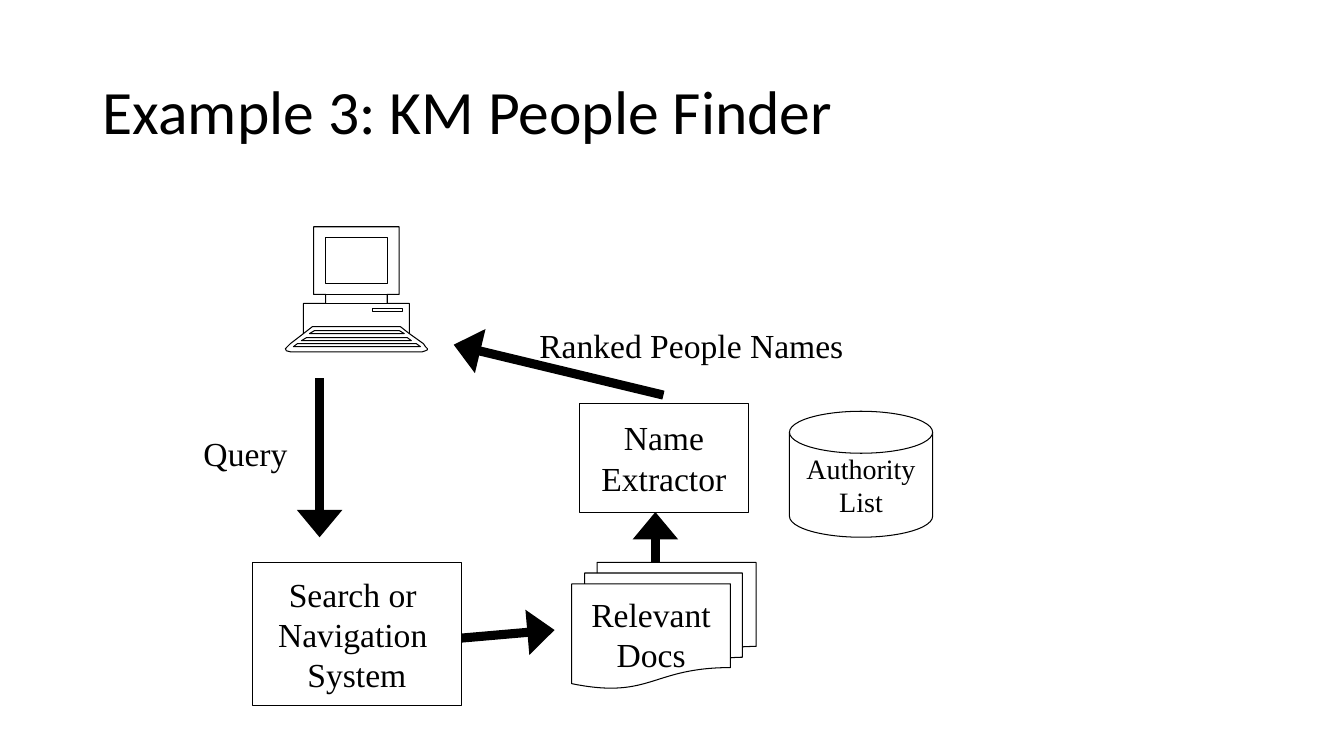
"""Build the KM People Finder slide: a workstation, its search flow and labels."""
from lxml import etree
from pptx import Presentation
from pptx.dml.color import RGBColor
from pptx.enum.shapes import MSO_CONNECTOR, MSO_SHAPE
from pptx.enum.text import MSO_ANCHOR, MSO_AUTO_SIZE, PP_ALIGN
from pptx.oxml.ns import qn
from pptx.util import Inches, Pt

RECT = MSO_SHAPE.RECTANGLE
DOCS = MSO_SHAPE.FLOWCHART_MULTIDOCUMENT
DISK = MSO_SHAPE.FLOWCHART_MAGNETIC_DISK
STRAIGHT = MSO_CONNECTOR.STRAIGHT
LEFT, CENTER = PP_ALIGN.LEFT, PP_ALIGN.CENTER
TOP, MIDDLE = MSO_ANCHOR.TOP, MSO_ANCHOR.MIDDLE
FIT = MSO_AUTO_SIZE.SHAPE_TO_FIT_TEXT
SERIF, SANS, BLACK = "Times New Roman", "Calibri", "000000"

TITLE = ("Example 3: KM People Finder", (0.92, 0.41, 11.5, 1.45))
NODES = [
    (DOCS, (5.67, 5.58, 1.83, 1.25), 24, ["Relevant", "Docs"]),
    (RECT, (2.5, 5.58, 2.08, 1.42), 24, ["Search or ", "Navigation ", "System"]),
    (RECT, (5.75, 4, 1.67, 1.08), 24, ["Name", "Extractor"]),
    (DISK, (7.83, 4.08, 1.42, 1.25), 20, ["Authority", "List"]),
]
ARROWS = [
    ((3.17, 3.75), (3.17, 5.33)),
    ((4.58, 6.33), (5.5, 6.25)),
    ((6.5, 5.58), (6.5, 5.08)),
    ((6.58, 3.92), (4.5, 3.42)),
]
LABELS = [
    ("Query", (1.92, 4.25, 1.03, 0.5)),
    ("Ranked People Names", (5.25, 3.17, 3.22, 0.5)),
]

# Workstation geometry in hundredths of an inch
OUTLINE = [
    (420, 341), (406, 331), (406, 301), (384, 301), (384, 292), (396, 292),
    (396, 225), (311, 225), (311, 292), (323, 292), (323, 301), (301, 301),
    (301, 331), (288, 341), (285, 344), (283, 346), (284, 348), (288, 349),
    (419, 349), (422, 348), (424, 347), (424, 346), (422, 344),
]
KEYBOARD_EDGE = [(406, 331), (397, 324), (310, 324), (301, 331)]
KEY_ROWS = [
    [(401, 331), (396, 328), (312, 328), (307, 331)],
    [(408, 338), (404, 335), (304, 335), (299, 338)],
    [(417, 344), (413, 341), (295, 341), (291, 344)],
]
PANELS = [(369, 306, 399, 309), (323, 236, 384, 281), (323, 292, 384, 301)]


def rgb(color):
    return RGBColor.from_string(color)


def box(at):
    return [Inches(v) for v in at]


def outline(sp):
    sp.shadow.inherit = False
    sp.fill.background()
    sp.line.color.rgb = rgb(BLACK)
    sp.line.width = Pt(0.75)


def write(sp, lines, size, font=SERIF, align=LEFT, anchor=TOP, wrap=False):
    tf = sp.text_frame
    tf.word_wrap = wrap
    tf.vertical_anchor = anchor
    for i, text in enumerate(lines):
        p = tf.paragraphs[0] if i == 0 else tf.add_paragraph()
        p.alignment = align
        r = p.add_run()
        r.text = text
        r.font.size = Pt(size)
        r.font.name = font
        r.font.color.rgb = rgb(BLACK)
    return tf


def add_workstation(s):
    panels = [[(x1, y1), (x1, y2), (x2, y2), (x2, y1)] for x1, y1, x2, y2 in PANELS]
    fb = s.shapes.build_freeform(*OUTLINE[0], scale=Inches(0.01))
    fb.add_line_segments(OUTLINE[1:], close=True)
    for points in KEY_ROWS + panels + [KEYBOARD_EDGE]:
        fb.move_to(*points[0])
        fb.add_line_segments(points[1:], close=points is not KEYBOARD_EDGE)
    outline(fb.convert_to_shape())


def add_arrow(s, start, end):
    cx = s.shapes.add_connector(STRAIGHT, *box(start + end))
    cx.line.color.rgb = rgb(BLACK)
    cx.line.width = Pt(6.5)
    sp_pr = cx._element.spPr
    etree.SubElement(sp_pr.find(qn("a:ln")), qn("a:tailEnd"), type="triangle", w="lg", len="med")
    etree.SubElement(sp_pr, qn("a:effectLst"))


def main():
    prs = Presentation()
    prs.slide_width, prs.slide_height = Inches(13.33), Inches(7.5)
    s = prs.slides.add_slide(prs.slide_layouts[6])

    title, at = TITLE
    tf = write(s.shapes.add_textbox(*box(at)), [title], 44, SANS, anchor=MIDDLE, wrap=True)
    tf.paragraphs[0].line_spacing = 0.9

    for kind, at, size, lines in NODES:
        sp = s.shapes.add_shape(kind, *box(at))
        outline(sp)
        write(sp, lines, size, align=CENTER, anchor=MIDDLE)

    add_workstation(s)
    for start, end in ARROWS:
        add_arrow(s, start, end)

    for text, at in LABELS:
        tf = write(s.shapes.add_textbox(*box(at)), [text], 24)
        tf.auto_size = FIT

    prs.save("out.pptx")


if __name__ == "__main__":
    main()
